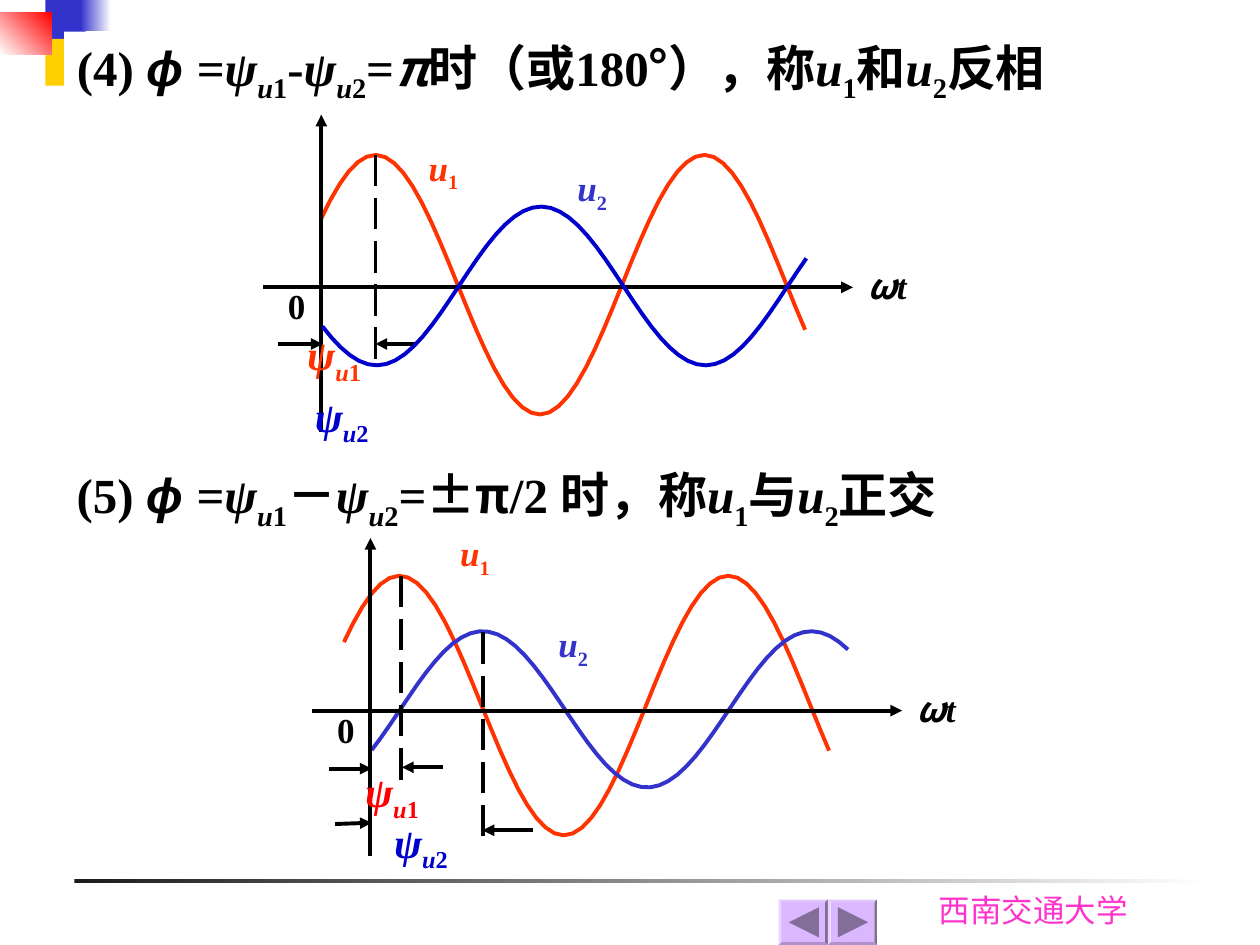
import math

from lxml import etree
from pptx import Presentation
from pptx.dml import color
from pptx.enum import dml, shapes, text
from pptx.oxml import ns
from pptx.util import Inches, Pt

SERIF, SANS, CJK = "Times New Roman", "Arial", "Noto Sans CJK SC"
BLACK, WHITE, ORANGE, RED = "000000", "FFFFFF", "FF3300", "FF0000"
NAVY, BLUE, YELLOW, LILAC, PINK = "0000CC", "3333CC", "FFCF01", "DBB7FF", "FF33CC"
PERIOD = 2.61


def rgb(value):
    """Turn a hex string into a colour."""
    return color.RGBColor.from_string(value)


def add_runs(paragraph, runs, size, hue, bold=True):
    """Add (text, style, font) runs; style letters are i for italic, s for subscript."""
    for wording, style, typeface in runs:
        run = paragraph.add_run()
        run.text = wording
        font = run.font
        font.size, font.bold, font.italic = Pt(size), bold, "i" in style
        font.name, font.color.rgb = typeface, rgb(hue)
        properties = run._r.get_or_add_rPr()
        etree.SubElement(properties, ns.qn("a:ea"), typeface=CJK)
        if "s" in style:
            properties.set("baseline", "-25000")


def fill_frame(frame, runs, size, hue, margins=(0.1, 0.05), align="LEFT",
               anchor="TOP", wrap=True, bold=True):
    """Lay out one paragraph of runs in a text frame."""
    frame.word_wrap = wrap
    frame.auto_size = text.MSO_AUTO_SIZE.NONE
    frame.vertical_anchor = getattr(text.MSO_ANCHOR, anchor)
    frame.margin_left = frame.margin_right = Inches(margins[0])
    frame.margin_top = frame.margin_bottom = Inches(margins[1])
    paragraph = frame.paragraphs[0]
    paragraph.alignment = getattr(text.PP_ALIGN, align)
    add_runs(paragraph, runs, size, hue, bold)


def add_label(slide, box, runs, size, hue, **layout):
    """Add a text box holding one line of runs."""
    label = slide.shapes.add_textbox(*map(Inches, box))
    fill_frame(label.text_frame, runs, size, hue, **layout)


def add_tag(slide, box, runs, hue=BLACK):
    """Add a small centred tag to a diagram."""
    add_label(slide, box, runs, 20, hue, margins=(0.01, 0.01), align="CENTER")


def add_panel(slide, box, hue, fade_to=None, angle=0, kind="RECTANGLE"):
    """Add a borderless shape with a plain or fading fill."""
    preset = getattr(shapes.MSO_SHAPE, kind)
    panel = slide.shapes.add_shape(preset, *map(Inches, box))
    panel.shadow.inherit = False
    panel.line.fill.background()
    if fade_to:
        panel.fill.gradient()
        panel.fill.gradient_angle = angle
        for stop, shade, place in zip(panel.fill.gradient_stops, (hue, fade_to), (0, 1)):
            stop.color.rgb, stop.position = rgb(shade), place
    else:
        panel.fill.solid()
        panel.fill.fore_color.rgb = rgb(hue)
    return panel


def add_line(slide, start, end, arrow=True, dashed=False):
    """Add a black line, with an arrowhead at its end or with long dashes."""
    line = slide.shapes.add_connector(
        shapes.MSO_CONNECTOR.STRAIGHT, *map(Inches, (*start, *end)))
    line.line.color.rgb, line.line.width = rgb(BLACK), Pt(2.25)
    if dashed:
        line.line.dash_style = dml.MSO_LINE.LONG_DASH
    properties = line.element.spPr
    if arrow:
        etree.SubElement(properties.get_or_add_ln(), ns.qn("a:tailEnd"), type="triangle")
    etree.SubElement(properties, ns.qn("a:effectLst"))


def add_wave(slide, span, peak, middle, height, hue):
    """Draw a cosine wave over span; a negative height turns it over."""
    steps = 53
    points = []
    for step in range(steps + 1):
        x = span[0] + (span[1] - span[0]) * step / steps
        y = middle - height * math.cos(2 * math.pi * (x - peak) / PERIOD)
        points.append((Inches(x), Inches(y)))
    builder = slide.shapes.build_freeform(*points[0])
    builder.add_line_segments(points[1:], close=False)
    wave = builder.convert_to_shape()
    wave.shadow.inherit = False
    wave.fill.background()
    wave.line.color.rgb, wave.line.width = rgb(hue), Pt(2.25)


def add_axes(slide, x, y):
    """Draw the axes that cross at x, y and their tags."""
    add_line(slide, (x - 0.46, y), (x + 4.22, y))
    add_line(slide, (x, y + 1.15), (x, y - 1.37))
    add_tag(slide, (x - 0.45, y - 0.03, 0.51, 0.32), [("0", "", SERIF)])
    add_tag(slide, (x + 4.28, y - 0.19, 0.42, 0.58), [("ω", "i", CJK), ("t", "i", SERIF)])


def indexed(symbol, index):
    """Give the runs of a voltage symbol with its index."""
    return [(symbol, "i", SERIF), (index, "s", SERIF)]


def phase(index):
    """Give the runs of an initial phase."""
    return [("ψ", "i", SERIF), ("u", "is", SERIF), (index, "s", SERIF)]


def heading(number, minus, value, joiner, verdict):
    """Give the runs of a heading about the phase difference."""
    return [(number, "", SERIF), ("ϕ ", "i", SANS), ("=", "", SERIF), *phase("1"),
            (minus, "", SERIF), *phase("2"), ("=", "", SERIF), *value,
            *indexed("u", "1"), (joiner, "", SERIF), *indexed("u", "2"),
            (verdict, "", SERIF)]


def add_wave_names(slide, first, second):
    """Name the two waves at the given places."""
    add_tag(slide, (*first, 0.66, 0.49), indexed("u", "1"), ORANGE)
    add_tag(slide, (*second, 0.66, 0.43), indexed("u", "2"), BLUE)


def add_phase_names(slide, first, second, first_hue):
    """Name the two initial phases at the given places."""
    for place, index, hue in ((first, "1", first_hue), (second, "2", NAVY)):
        add_label(slide, (*place, 0.94, 0.56), phase(index), 24, hue)


def add_opposite_diagram(slide):
    """Draw two waves in opposite phase."""
    add_wave(slide, (2.55, 6.39), 2.98, 2.26, 1.03, ORANGE)
    add_axes(slide, 2.55, 2.28)
    add_wave_names(slide, (3.19, 1.15), (4.37, 1.31))
    add_line(slide, (2.98, 1.23), (2.98, 2.89), arrow=False, dashed=True)
    add_line(slide, (2.21, 2.73), (2.56, 2.73))
    add_line(slide, (3.31, 2.73), (2.98, 2.73))
    add_phase_names(slide, (2.34, 2.56), (2.4, 3.05), ORANGE)
    add_wave(slide, (2.56, 6.4), 2.99, 2.27, -0.63, NAVY)


def add_quadrature_diagram(slide):
    """Draw two waves a quarter period apart."""
    add_wave(slide, (2.73, 6.58), 3.17, 5.6, 1.03, ORANGE)
    add_wave(slide, (2.95, 6.73), 3.83, 5.63, 0.62, BLUE)
    add_axes(slide, 2.94, 5.64)
    add_wave_names(slide, (3.44, 4.21), (4.22, 4.93))
    for x, top, bottom in ((3.18, 4.57, 6.22), (3.83, 5.02, 6.72)):
        add_line(slide, (x, top), (x, bottom), arrow=False, dashed=True)
    for start, end in (((2.61, 6.1), (2.95, 6.1)), ((3.52, 6.09), (3.19, 6.09)),
                       ((2.66, 6.54), (2.95, 6.53)), ((4.23, 6.59), (3.83, 6.59))):
        add_line(slide, start, end)
    add_phase_names(slide, (2.8, 6.03), (3.03, 6.43), RED)


def add_button(slide, x, turn):
    """Add a bevelled button with a triangle turned by an angle."""
    add_panel(slide, (x, 7.14, 0.39, 0.36), LILAC, kind="BEVEL").adjustments[0] = 0.06
    pointer = add_panel(slide, (x + 0.08, 7.2, 0.24, 0.24), "836E99",
                        kind="ISOSCELES_TRIANGLE")
    pointer.rotation = turn


def add_backdrop(slide):
    """Add the corner blocks, the bottom rule and the school name."""
    add_panel(slide, (0.59, 6.98, 9, 0.03), "1C1C1C", WHITE)
    add_label(slide, (7.35, 7.02, 1.81, 0.4), [("西南交通大学", "", "Cabin")],
              18, PINK, wrap=False, bold=False)
    add_panel(slide, (0.36, 0, 0.32, 0.37), BLUE)
    add_panel(slide, (0.64, 0, 0.24, 0.25), BLUE, WHITE)
    add_panel(slide, (0.36, 0.31, 0.31, 0.37), YELLOW)
    add_panel(slide, (0, 0.1, 0.41, 0.33), WHITE, RED, angle=45)


def add_title(slide, box, runs):
    """Place the title on a white ground above the backdrop."""
    title = slide.shapes.title
    title.left, title.top, title.width, title.height = map(Inches, box)
    title.fill.solid()
    title.fill.fore_color.rgb = rgb(WHITE)
    fill_frame(title.text_frame, runs, 28, BLACK, anchor="MIDDLE")
    slide.shapes.element.append(title.element)


def main():
    """Build the slide on phase differences."""
    deck = Presentation()
    deck.slide_width, deck.slide_height = Inches(10), Inches(7.5)
    slide = deck.slides.add_slide(deck.slide_layouts[5])
    add_backdrop(slide)
    opposite = [("π", "i", CJK), ("时（或180", "", SERIF), ("°）", "", CJK), ("，称", "", SERIF)]
    add_title(slide, (0.51, 0.25, 9.14, 0.63), heading("(4) ", "-", opposite, "和", "反相"))
    quadrature = [("±π", "", CJK), ("/2 时，称", "", SERIF)]
    add_label(slide, (0.51, 3.64, 8.73, 0.63),
              heading("(5) ", "－", quadrature, "与", "正交"), 28, BLACK, anchor="MIDDLE")
    add_opposite_diagram(slide)
    add_quadrature_diagram(slide)
    for x, turn in ((6.18, 270), (6.57, 90)):
        add_button(slide, x, turn)
    deck.save("out.pptx")


if __name__ == "__main__":
    main()
